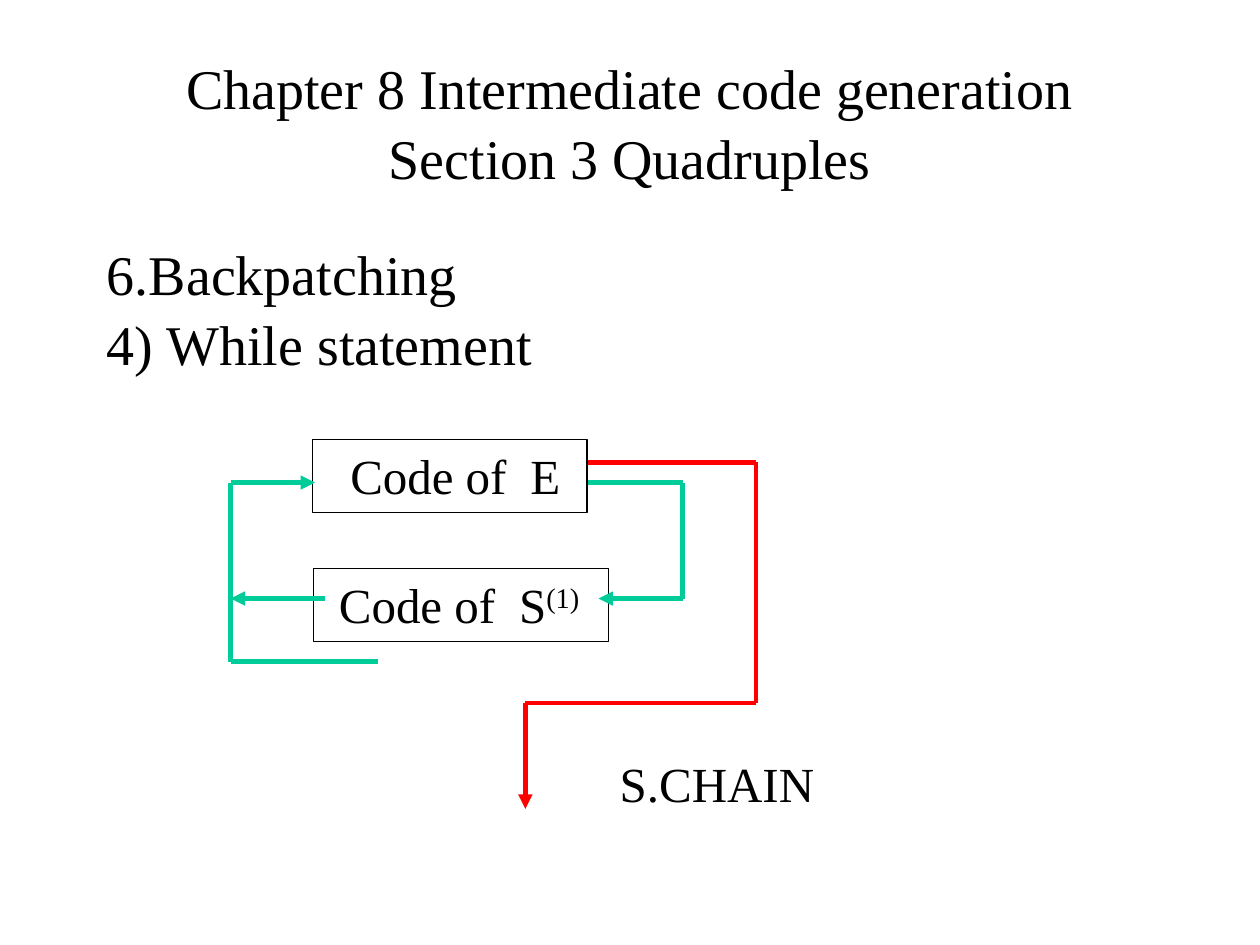
from itertools import pairwise
from lxml import etree
from pptx import Presentation
from pptx.dml.color import RGBColor as Rgb
from pptx.enum.shapes import MSO_CONNECTOR as Conn, MSO_SHAPE as Kind
from pptx.enum.text import MSO_ANCHOR as Anchor, PP_ALIGN as Align
from pptx.oxml.ns import qn
from pptx.util import Inches, Pt

INK = {"text": "000000", "exit": "FF0000", "loop": "00CC99"}
FONT = "Times New Roman"


def add_run(para, text, size, base=None):
    """Add one run of black text, raised if base is given."""
    run = para.add_run()
    run.text = text
    run.font.size = Pt(size)
    run.font.name = FONT
    run.font.color.rgb = Rgb.from_string(INK["text"])
    if base:
        run.font._element.set("baseline", str(base * 1000))


def add_text(slide, box, lines, size, align=Align.LEFT, anchor=Anchor.TOP):
    """Place a text box with one paragraph per line."""
    frame = slide.shapes.add_textbox(*map(Inches, box)).text_frame
    frame.word_wrap = True
    frame.vertical_anchor = anchor
    for i, line in enumerate(lines):
        para = frame.add_paragraph() if i else frame.paragraphs[0]
        para.alignment = align
        para.line_spacing = 1.04
        add_run(para, line, size)


def add_block(slide, box, inset, name, sup=None):
    """Place a code block with its name at a tab stop."""
    shape = slide.shapes.add_shape(Kind.RECTANGLE, *map(Inches, box))
    shape.shadow.inherit = False
    shape.fill.background()
    shape.line.color.rgb = Rgb.from_string(INK["text"])
    shape.line.width = Pt(0.75)
    frame = shape.text_frame
    frame.margin_left = Inches(inset)
    frame.vertical_anchor = Anchor.TOP
    para = frame.paragraphs[0]
    para.alignment = Align.LEFT
    tabs = etree.SubElement(para._p.get_or_add_pPr(), qn("a:tabLst"))
    etree.SubElement(tabs, qn("a:tab"), pos=str(Inches(1.43)), algn="l")
    add_run(para, f"Code of\t{name}", 28)
    if sup:
        add_run(para, sup, 28, 30)


def add_route(slide, spots, color, arrow=True):
    """Draw straight lines through the spots, with a head at the end."""
    for start, end in pairwise(spots):
        line = slide.shapes.add_connector(
            Conn.STRAIGHT, *map(Inches, start + end))
        line.line.color.rgb = Rgb.from_string(INK[color])
        line.line.width = Pt(2.75)
        if arrow and end == spots[-1]:
            etree.SubElement(line.line._get_or_add_ln(), qn("a:tailEnd"),
                             type="triangle")
        etree.SubElement(line._element.spPr, qn("a:effectLst"))


def add_flow(slide, box):
    """Draw the while loop's blocks, jumps and exit chain in the box."""
    x, y, wide, high = box

    def at(*spots):
        return [(x + a, y + b) for a, b in spots]

    add_block(slide, (x + 0.65, y, 2.18, 0.58), 0.3, "E")
    add_block(slide, (x + 0.66, y + 1.02, 2.34, 0.58), 0.2, "S", "(1)")
    add_route(slide, at((2.84, 0.18), (wide, 0.18), (wide, 2.09),
                        (2.34, 2.09), (2.34, high)), "exit")
    add_route(slide, at((2.84, 0.34), (3.59, 0.34), (3.59, 1.26),
                        (2.92, 1.26)), "loop")
    add_route(slide, at((0.75, 1.26), (0, 1.26)), "loop")
    add_route(slide, at((1.17, 1.76), (0, 1.76), (0, 0.34),
                        (0.67, 0.34)), "loop")
    add_text(slide, (x + 2.99, y + 2.42, 1.9, 0.57), ["S.CHAIN"], 28)


def main():
    """Build and save the slide."""
    deck = Presentation()
    deck.slide_width, deck.slide_height = Inches(10), Inches(7.5)
    slide = deck.slides.add_slide(deck.slide_layouts[6])
    add_text(slide, (0.75, 0.17, 8.5, 1.58),
             ["Chapter 8 Intermediate code generation",
              "Section 3 Quadruples"], 32, Align.CENTER, Anchor.MIDDLE)
    add_text(slide, (0.75, 1.83, 8.5, 1.4),
             ["6.Backpatching", "4) While statement"], 32)
    add_flow(slide, (1.83, 3.49, 4.17, 2.93))
    deck.save("out.pptx")


if __name__ == "__main__":
    main()
